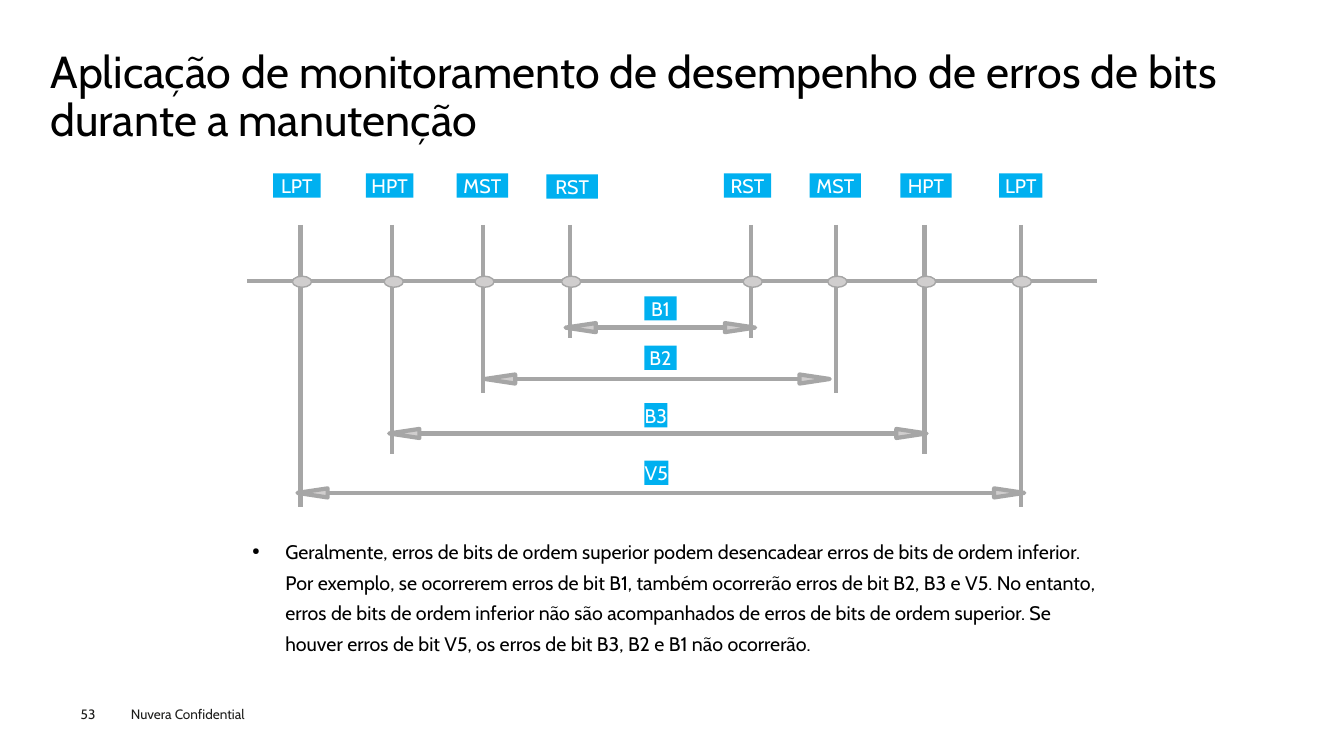
from dataclasses import dataclass

from lxml.etree import SubElement
from pptx import Presentation
from pptx.dml.color import RGBColor
from pptx.enum.shapes import MSO_CONNECTOR, MSO_SHAPE
from pptx.enum.text import MSO_ANCHOR, MSO_AUTO_SIZE, PP_ALIGN
from pptx.oxml.ns import qn
from pptx.util import Inches, Pt


@dataclass(frozen=True)
class Theme:
    font: str = "Cabin"
    black: str = "000000"
    footer: str = "1D1D1B"
    white: str = "FFFFFF"
    label: str = "00B0F0"
    line: str = "A6A6A6"
    node: str = "D0CECE"
    title_size: float = 32
    body_size: float = 14
    footer_size: float = 9.7
    thick: float = 3
    thin: float = 1


class SlideBuilder:
    def __init__(self, slide, theme):
        self.slide = slide
        self.shapes = slide.shapes
        self.theme = theme

    def set_text(self, shape, text, size, color, bullet=False, insets=(0, 0),
                 anchor=MSO_ANCHOR.TOP, **paragraph_format):
        frame = shape.text_frame
        horizontal, vertical = map(Inches, insets)
        frame_format = {
            "margin_left": horizontal, "margin_right": horizontal,
            "margin_top": vertical, "margin_bottom": vertical,
            "word_wrap": True, "auto_size": MSO_AUTO_SIZE.NONE,
            "vertical_anchor": anchor,
        }
        for name, value in frame_format.items():
            setattr(frame, name, value)
        paragraph = frame.paragraphs[0]
        paragraph.text = text
        if bullet:
            properties = paragraph._p.get_or_add_pPr()
            properties.set("marL", str(Inches(0.33)))
            properties.set("indent", str(Inches(-0.33)))
            SubElement(properties, qn("a:buSzPct"), val="50000")
            SubElement(properties, qn("a:buChar"), char="●")
        for name, value in paragraph_format.items():
            setattr(paragraph, name, value)
        font = paragraph.font
        for name, value in {"name": self.theme.font, "size": Pt(size)}.items():
            setattr(font, name, value)
        font.color.rgb = RGBColor.from_string(color)

    def paint(self, shape, fill, line_width=None):
        shape.shadow.inherit = False
        shape.fill.solid()
        shape.fill.fore_color.rgb = RGBColor.from_string(fill)
        if line_width is None:
            shape.line.fill.background()
        else:
            self.stroke(shape, line_width)

    def stroke(self, shape, width):
        shape.line.color.rgb = RGBColor.from_string(self.theme.line)
        shape.line.width = Pt(width)

    def title(self, text, *box):
        shape = self.shapes.title
        for name, value in zip(("left", "top", "width", "height"), box):
            setattr(shape, name, Inches(value))
        self.set_text(shape, text, self.theme.title_size, self.theme.black,
                      alignment=PP_ALIGN.LEFT, line_spacing=0.9)

    def text(self, text, box, size, color, **options):
        shape = self.shapes.add_textbox(*map(Inches, box))
        self.set_text(shape, text, size, color, **options)

    def line(self, *ends):
        connector = self.shapes.add_connector(
            MSO_CONNECTOR.STRAIGHT, *map(Inches, ends))
        self.stroke(connector, self.theme.thick)
        SubElement(connector._element.spPr, qn("a:effectLst"))

    def arrowhead(self, tip, y, direction):
        base = Inches(tip - 0.3 * direction)
        builder = self.shapes.build_freeform(base, Inches(y - 0.045))
        builder.add_line_segments(
            [(Inches(tip), Inches(y)), (base, Inches(y + 0.045))], close=True)
        shape = builder.convert_to_shape()
        self.paint(shape, self.theme.node, self.theme.thick)
        SubElement(shape._element.spPr.find(qn("a:ln")), qn("a:round"))

    def span(self, left, right, y):
        self.line(left + 0.03, y, right - 0.03, y)
        self.arrowhead(right, y, 1)
        self.arrowhead(left, y, -1)

    def label(self, text, left, top, width):
        shape = self.shapes.add_shape(
            MSO_SHAPE.RECTANGLE, *map(Inches, (left, top, width, 0.24)))
        self.paint(shape, self.theme.label)
        self.set_text(shape, text, self.theme.body_size, self.theme.white,
                      anchor=MSO_ANCHOR.MIDDLE, alignment=PP_ALIGN.CENTER)

    def node(self, left, center):
        shape = self.shapes.add_shape(
            MSO_SHAPE.OVAL,
            *map(Inches, (left, center - 0.05, 0.19, 0.11)))
        self.paint(shape, self.theme.node, self.theme.thin)


POST_TOP = 2.23
AXIS_Y = 2.79
POSTS = [
    ("LPT", 2.98, 5.03, 2.71, 1.72, 0.47, 2.9),
    ("HPT", 3.89, 4.5, 3.63, 1.72, 0.47, 3.81),
    ("MST", 4.79, 3.9, 4.53, 1.72, 0.51, 4.71),
    ("RST", 5.65, 3.35, 5.42, 1.73, 0.51, 5.57),
    ("RST", 7.45, 3.35, 7.18, 1.72, 0.47, 7.37),
    ("MST", 8.29, 3.9, 8.03, 1.72, 0.51, 8.21),
    ("HPT", 9.17, 4.5, 8.93, 1.72, 0.51, 9.09),
    ("LPT", 10.13, 5.03, 9.91, 1.72, 0.43, 10.04),
]
SPANS = [
    ("B1", 5.61, 7.49, 3.25, 2.94, 0.32),
    ("B2", 4.81, 8.23, 3.76, 3.43, 0.32),
    ("B3", 3.86, 9.19, 4.3, 4.0, 0.23),
    ("V5", 2.95, 10.16, 4.89, 4.57, 0.24),
]
TITLE = ("Aplicação de monitoramento de desempenho de erros de bits "
         "durante a manutenção")
BODY = (
    "Geralmente, erros de bits de ordem superior podem desencadear erros de "
    "bits de ordem inferior. Por exemplo, se ocorrerem erros de bit B1, também "
    "ocorrerão erros de bit B2, B3 e V5. No entanto, erros de bits de ordem "
    "inferior não são acompanhados de erros de bits de ordem superior. Se "
    "houver erros de bit V5, os erros de bit B3, B2 e B1 não ocorrerão."
)


def main():
    presentation = Presentation()
    presentation.slide_width = Inches(13.33)
    presentation.slide_height = Inches(7.5)
    slide = presentation.slides.add_slide(presentation.slide_layouts[5])
    theme = Theme()
    builder = SlideBuilder(slide, theme)

    builder.title(TITLE, 0.5, 0.49, 12.35, 1.1)
    builder.text("Nuvera Confidential", (1.2, 6.95, 1.6, 0.27),
                 theme.footer_size, theme.footer, insets=(0.1, 0.05))
    builder.text("53", (0.8, 7, 0.55, 0.16), theme.footer_size, theme.footer)
    builder.text(BODY, (2.41, 5.25, 8.67, 1.57), theme.body_size, theme.black,
                 bullet=True, insets=(0.09, 0.04), line_spacing=1.3)

    builder.line(2.45, AXIS_Y, 10.88, AXIS_Y)
    for name, x, bottom, left, top, width, node_left in POSTS:
        builder.line(x, POST_TOP, x, bottom)
        builder.label(name, left, top, width)
        builder.node(node_left, AXIS_Y)
    for name, left, right, y, label_top, width in SPANS:
        builder.span(left, right, y)
        builder.label(name, 6.39, label_top, width)

    presentation.save("out.pptx")


if __name__ == "__main__":
    main()
